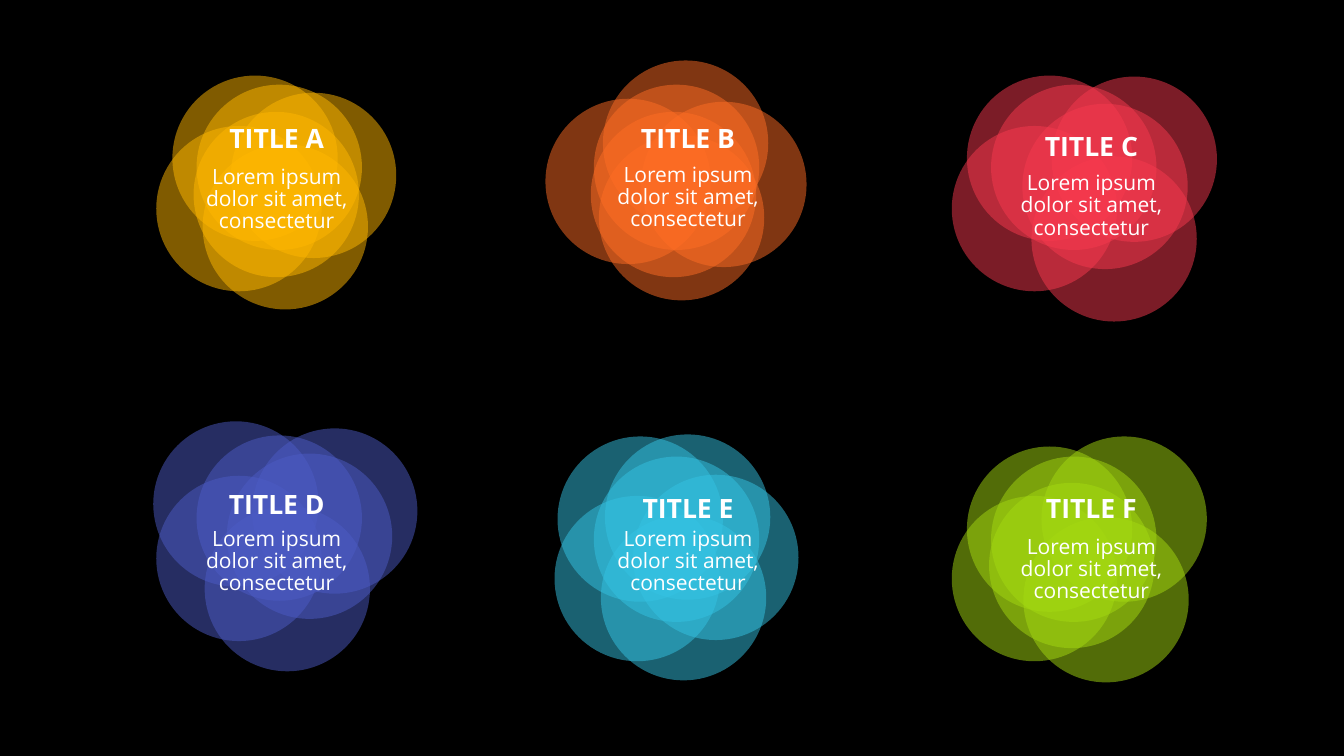
from pptx import Presentation
from pptx import util as u
from pptx.dml.color import RGBColor
from pptx.enum import shapes, text
from pptx.oxml.ns import qn
from lxml import etree

BODY = "Lorem ipsum dolor sit amet, consectetur"
# Title, colour, core top, title top, body top, petal offsets from the core circle
BLOOMS = [
    ("TITLE A", "FFB700", 0.84, 1.21, 1.6,
     [(0.34, 0.08), (-0.4, 0.41), (-0.24, -0.09), (-0.03, 0.27), (0.06, 0.59)]),
    ("TITLE B", "FF6D24", 0.84, 1.21, 1.58,
     [(0.47, 0.17), (-0.48, 0.14), (0.09, -0.24), (-0.03, 0.27), (0.05, 0.5)]),
    ("TITLE C", "F7394E", 0.84, 1.29, 1.66,
     [(0.31, 0.19), (-0.39, 0.41), (-0.24, -0.09), (0.6, -0.08), (0.4, 0.71)]),
    ("TITLE D", "4C5BC5", 4.32, 4.84, 5.19,
     [(0.3, 0.18), (-0.4, 0.4), (-0.43, -0.14), (0.55, -0.07), (0.08, 0.7)]),
    ("TITLE E", "34C3E3", 4.53, 4.88, 5.19,
     [(0.39, 0.18), (-0.39, 0.39), (-0.36, -0.2), (0.11, -0.22), (0.07, 0.58)]),
    ("TITLE F", "A4D911", 4.53, 4.88, 5.27,
     [(0.5, -0.2), (-0.39, 0.39), (-0.24, -0.1), (-0.02, 0.26), (0.32, 0.6)]),
]
COLS = 3
CORE, STEP, SIZE = 1.95, 3.94, 1.64   # first core left, column step, circle size
TEXT_X, TEXT_W = (1.93, 6.01, 10.01), 1.63
HEAD = {"size": u.Pt(19), "bold": True, "name": "Open Sans"}
COPY = {"size": u.Pt(15), "bold": False, "name": "Open Sans"}


def paint(fill, color, alpha=None):
    fill.solid()
    fill.fore_color.rgb = RGBColor.from_string(color)
    if alpha is not None:
        tint = fill._xPr.find(qn("a:solidFill"))[0]
        etree.SubElement(tint, qn("a:alpha")).set("val", str(alpha * 1000))


def petal(x, y, color):
    disc = slide.shapes.add_shape(
        shapes.MSO_SHAPE.OVAL, *map(u.Inches, (x, y, SIZE, SIZE)))
    disc.shadow.inherit = False
    disc.line.fill.background()
    paint(disc.fill, color, 50)


def label(words, x, y, high, style, pad, gap):
    frame = slide.shapes.add_textbox(
        *map(u.Inches, (x, y, TEXT_W, high))).text_frame
    frame.word_wrap = True
    frame.vertical_anchor = text.MSO_ANCHOR.TOP
    for side, inset in zip(("left", "right", "top", "bottom"), pad):
        setattr(frame, "margin_" + side, u.Inches(inset))
    para = frame.paragraphs[0]
    para.alignment = text.PP_ALIGN.CENTER
    para.line_spacing = gap
    run = para.add_run()
    run.text = words
    for key, value in style.items():
        setattr(run.font, key, value)
    paint(run.font.fill, "FFFFFF")


deck = Presentation()
deck.slide_width, deck.slide_height = u.Inches(13.33), u.Inches(7.5)
slide = deck.slides.add_slide(deck.slide_layouts[6])
paint(slide.background.fill, "000000")

# Overlapping circles, each cluster around its core
for i, (_, color, top, _, _, petals) in enumerate(BLOOMS):
    left = CORE + i % COLS * STEP
    for dx, dy in [(0, 0)] + petals:
        petal(left + dx, top + dy, color)

# Titles and body text
for i, (title, _, _, head_y, body_y, _) in enumerate(BLOOMS):
    left = TEXT_X[i % COLS]
    label(title, left, head_y, 0.44, HEAD, (0, 0, 0, 0), 1.0)
    label(BODY, left, body_y, 0.86, COPY, (0.1, 0.1, 0.05, 0.05), 0.89)

deck.save("out.pptx")
